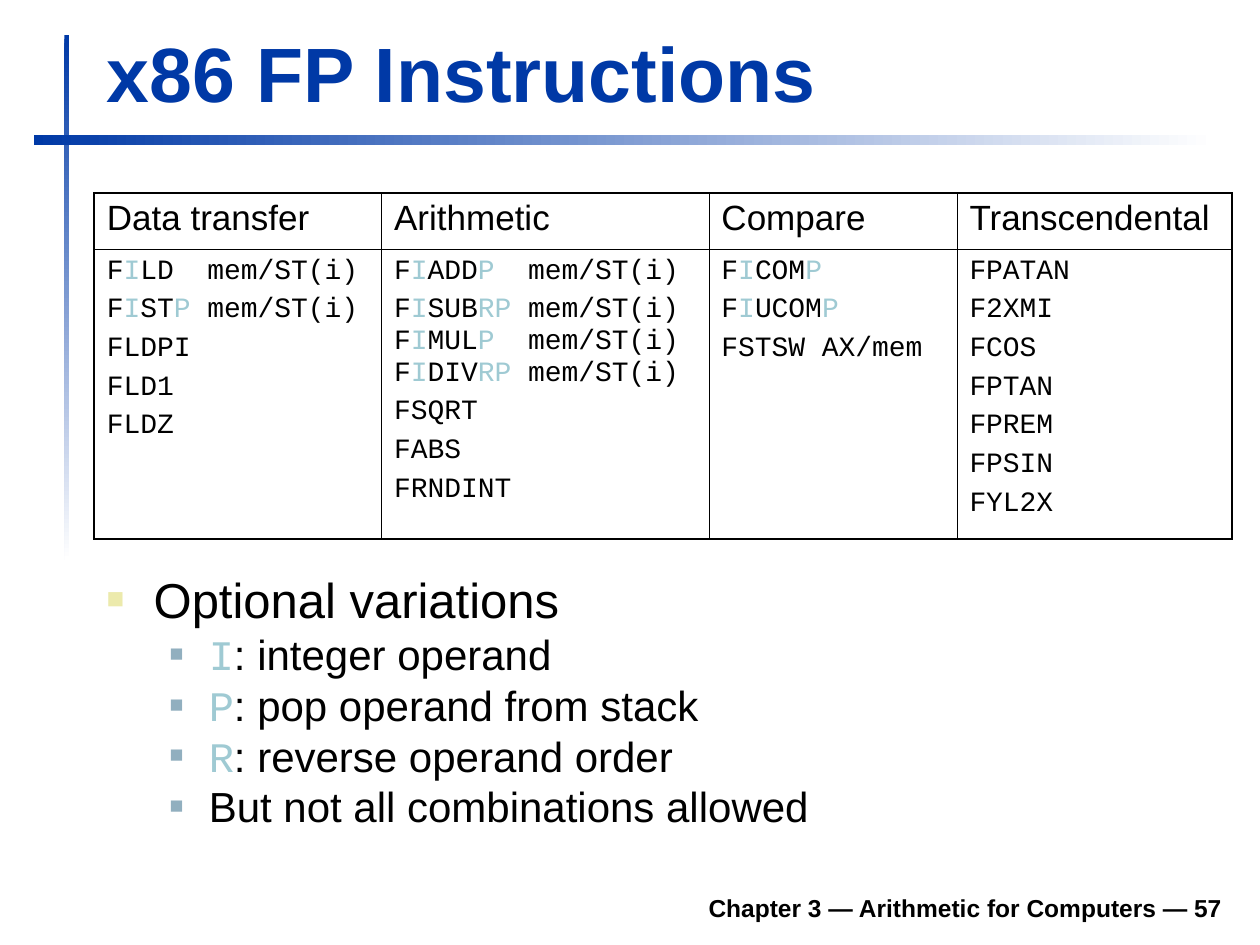
from lxml import etree
from pptx import Presentation
from pptx.dml.color import RGBColor
from pptx.enum.shapes import MSO_SHAPE
from pptx.enum.text import MSO_ANCHOR, PP_ALIGN
from pptx.oxml.ns import qn
from pptx.util import Cm, Pt

RECT = MSO_SHAPE.RECTANGLE
BOTTOM = MSO_ANCHOR.BOTTOM
LEFT, RIGHT = PP_ALIGN.LEFT, PP_ALIGN.RIGHT
SANS, MONO = "Arial", "Courier New"
BLUE, BLACK, WHITE, PALE = "0039A6", "000000", "FFFFFF", "9FCAD3"

# Content: |letters| are optional, \n is a line break
TITLE = "x86 FP Instructions"
FOOTER = "Chapter 3 — Arithmetic for Computers — 57"
COLUMNS = [
    ("Data transfer", 5.79,
     ["F|I|LD  mem/ST(i)", "F|I|ST|P| mem/ST(i)", "FLDPI", "FLD1", "FLDZ"]),
    ("Arithmetic", 6.6,
     ["F|I|ADD|P|  mem/ST(i)",
      "F|I|SUB|RP| mem/ST(i)\nF|I|MUL|P|  mem/ST(i)\nF|I|DIV|RP| mem/ST(i)",
      "FSQRT", "FABS", "FRNDINT"]),
    ("Compare", 5.0, ["F|I|COM|P|", "F|I|UCOM|P|", "FSTSW AX/mem"]),
    ("Transcendental", 5.54,
     ["FPATAN", "F2XMI", "FCOS", "FPTAN", "FPREM", "FPSIN", "FYL2X"]),
]
ROW_HEIGHTS = [1.14, 5.84]
BULLETS = [
    (0, "Optional variations"),
    (1, "|I|: integer operand"),
    (1, "|P|: pop operand from stack"),
    (1, "|R|: reverse operand order"),
    (1, "But not all combinations allowed"),
]
LEVELS = [
    dict(size=28, before=7, margin=0.95, hang=0.95, color="ECEAAC", scale=60),
    dict(size=24, before=6, margin=2.06, hang=0.79, color="91AFBF", scale=55),
]
# Left, top, width, height, gradient angle
BARS = [(1.3, 0.71, 0.1, 10.59, 270), (0.69, 2.72, 23.8, 0.2, 0)]
OUTER, ACROSS, DOWN = 1.08, 0.75, 0.45


def rgb(color):
    return RGBColor.from_string(color)


def add_run(p, text, color=BLACK, **font):
    r = p.add_run()
    r.text = text
    r.font.color.rgb = rgb(color)
    for name, value in font.items():
        setattr(r.font, name, value)


def add_marked(p, text, size, name):
    """Write text with its |optional| letters pale and monospaced."""
    for n, line in enumerate(text.split("\n")):
        if n:
            p.add_line_break()
        for i, part in enumerate(line.split("|")):
            if part:
                add_run(p, part, PALE if i % 2 else BLACK, size=Pt(size),
                        name=MONO if i % 2 else name)


def paragraphs(tf, items):
    for i, item in enumerate(items):
        yield i, tf.paragraphs[0] if i == 0 else tf.add_paragraph(), item


def add_bullet(p, level):
    pPr = p._p.get_or_add_pPr()
    pPr.set("marL", str(Cm(level["margin"])))
    pPr.set("indent", str(-Cm(level["hang"])))
    clr = etree.SubElement(pPr, qn("a:buClr"))
    etree.SubElement(clr, qn("a:srgbClr"), val=level["color"])
    etree.SubElement(pPr, qn("a:buSzPct"), val=str(level["scale"] * 1000))
    etree.SubElement(pPr, qn("a:buFont"), typeface=SANS)
    etree.SubElement(pPr, qn("a:buChar"), char="■")


def set_borders(cell, widths):
    tcPr = cell._tc.get_or_add_tcPr()
    for side, width in widths.items():
        ln = etree.SubElement(tcPr, qn("a:ln" + side), w=str(Pt(width)))
        fill = etree.SubElement(ln, qn("a:solidFill"))
        etree.SubElement(fill, qn("a:srgbClr"), val=BLACK)


def add_box(s, left, top, width, height):
    tf = s.shapes.add_textbox(Cm(left), Cm(top), Cm(width), Cm(height)).text_frame
    tf.word_wrap = True
    return tf


prs = Presentation()
prs.slide_width, prs.slide_height = Cm(25.4), Cm(19.05)
s = prs.slides.add_slide(prs.slide_layouts[5])

# Fading bars
for left, top, width, height, angle in BARS:
    sp = s.shapes.add_shape(RECT, Cm(left), Cm(top), Cm(width), Cm(height))
    sp.shadow.inherit = False
    sp.line.fill.background()
    sp.fill.gradient()
    sp.fill.gradient_angle = angle
    for stop, color in zip(sp.fill.gradient_stops, (BLUE, WHITE)):
        stop.color.rgb = rgb(color)

# Title
title = s.shapes.title
title.left, title.top, title.width, title.height = Cm(1.9), Cm(0.4), Cm(22.94), Cm(2.1)
tf = title.text_frame
tf.vertical_anchor = BOTTOM
p = tf.paragraphs[0]
p.alignment = LEFT
add_run(p, TITLE, BLUE, size=Pt(44), name=SANS, bold=True)

# Instruction table
frame = s.shapes.add_table(2, len(COLUMNS), Cm(1.9), Cm(3.89),
                           Cm(sum(c[1] for c in COLUMNS)), Cm(sum(ROW_HEIGHTS)))
table = frame.table
table.first_row = table.horz_banding = False
for row, height in zip(table.rows, ROW_HEIGHTS):
    row.height = Cm(height)
last = len(COLUMNS) - 1
for c, (heading, width, instructions) in enumerate(COLUMNS):
    table.columns[c].width = Cm(width)
    for r, (lines, size, font) in enumerate([([heading], 20, SANS),
                                             (instructions, 16, MONO)]):
        cell = table.cell(r, c)
        set_borders(cell, {"L": DOWN if c else OUTER,
                           "R": DOWN if c < last else OUTER,
                           "T": ACROSS if r else OUTER,
                           "B": OUTER if r else ACROSS})
        cell.fill.background()
        for i, p, line in paragraphs(cell.text_frame, lines):
            p.space_before = Pt(4 if i else 0)
            add_marked(p, line, size, font)

# Bullets
tf = add_box(s, 1.9, 11.58, 22.96, 5.74)
for i, p, (depth, text) in paragraphs(tf, BULLETS):
    level = LEVELS[depth]
    p.level = depth
    p.line_spacing = 0.8
    p.space_before = Pt(level["before"] if i else 0)
    add_bullet(p, level)
    add_marked(p, text, level["size"], SANS)

# Footer
tf = add_box(s, 4.7, 17.73, 20.19, 0.99)
tf.vertical_anchor = BOTTOM
p = tf.paragraphs[0]
p.alignment = RIGHT
add_run(p, FOOTER, size=Pt(14), name=SANS, bold=True)

prs.save("out.pptx")
